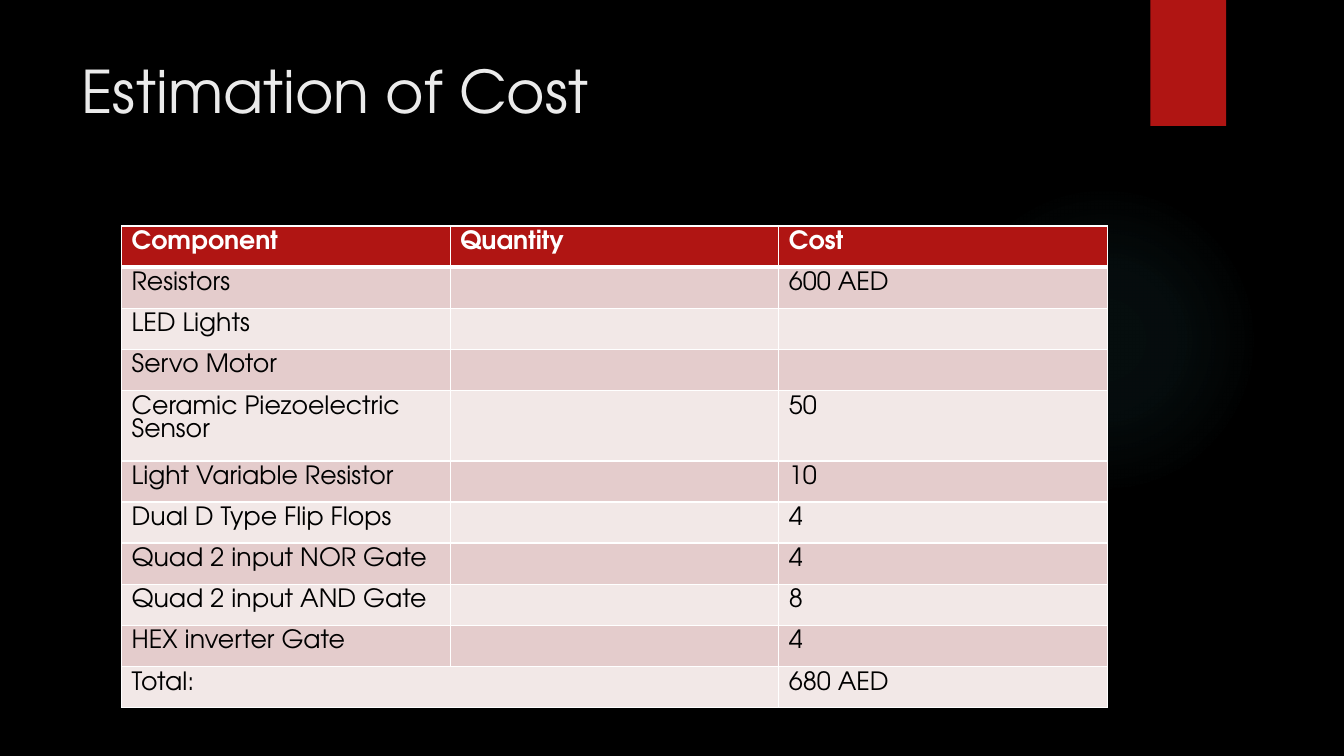
from dataclasses import dataclass

import pptx
import pptx.dml.color
import pptx.enum.shapes
import pptx.enum.text
import pptx.oxml
import pptx.oxml.ns
import pptx.util

COLUMN = pptx.util.Inches(13.333) / 40
ROW = pptx.util.Inches(7.5) / 30


@dataclass(frozen=True)
class Theme:
    font: str = "TeX Gyre Adventor"
    title_size: int = 42
    table_size: int = 18
    background: str = "000000"
    title: str = "EBEBEB"
    accent: str = "B01513"
    glow: str = "50B9C1"
    header_text: str = "FFFFFF"
    body_text: str = "000000"
    border: str = "FFFFFF"
    bands: tuple[str, str] = ("E4CCCC", "F2E8E7")
    thin: int = 1
    thick: int = 3


@dataclass(frozen=True)
class Frame:
    """A place on the page, in grid columns and rows."""
    left: float
    top: float
    width: float
    height: float

    def lengths(self) -> tuple[int, int, int, int]:
        return (round(self.left * COLUMN), round(self.top * ROW),
                round(self.width * COLUMN), round(self.height * ROW))


@dataclass(frozen=True)
class Item:
    component: str
    cost: str = ""
    quantity: str = ""


THEME = Theme()
GLOW = Frame(28.23, 7.32, 9.24, 12.32)
TAG = Frame(34.24, 0, 2.25, 5)
TITLE = Frame(2.13, 1.97, 30.87, 6.12)
TABLE_ROW = 1.63
HEADER = Item("Component", "Cost", "Quantity")
ITEMS = [
    Item("Resistors", "600 AED"),
    Item("LED Lights"),
    Item("Servo Motor"),
    Item("Ceramic Piezoelectric Sensor", "50"),
    Item("Light Variable Resistor", "10"),
    Item("Dual D Type Flip Flops", "4"),
    Item("Quad 2 input NOR Gate", "4"),
    Item("Quad 2 input AND Gate", "8"),
    Item("HEX inverter Gate", "4"),
    Item("Total:", "680 AED"),
]


def paint(fill, color: str) -> None:
    fill.solid()
    fill.fore_color.rgb = pptx.dml.color.RGBColor.from_string(color)


def write(frame, text: str, size: int, color: str, bold: bool = False) -> None:
    para = frame.paragraphs[0]
    para.text = text
    para.font.name = THEME.font
    para.font.size = pptx.util.Pt(size)
    para.font.bold = bold
    para.font.color.rgb = pptx.dml.color.RGBColor.from_string(color)


def add_plain_shape(page, kind, frame: Frame):
    shape = page.shapes.add_shape(kind, *frame.lengths())
    shape.shadow.inherit = False
    shape.line.fill.background()
    return shape


def add_glow(page) -> None:
    """Draw a circle that fades out from its centre."""
    shape = add_plain_shape(page, pptx.enum.shapes.MSO_SHAPE.OVAL, GLOW)
    shape.fill.background()
    stops = "".join(
        f'<a:gs pos="{place * 1000}"><a:srgbClr val="{THEME.glow}">'
        f'<a:alpha val="{opacity * 1000}"/></a:srgbClr></a:gs>'
        for place, opacity in ((0, 7), (36, 6), (69, 0), (100, 0)))
    gradient = pptx.oxml.parse_xml(
        f'<a:gradFill {pptx.oxml.ns.nsdecls("a")} rotWithShape="1">'
        f'<a:gsLst>{stops}</a:gsLst><a:path path="circle">'
        '<a:fillToRect l="50000" t="50000" r="50000" b="50000"/>'
        '</a:path></a:gradFill>')
    properties = shape.element.spPr
    empty_fill = properties.find(pptx.oxml.ns.qn("a:noFill"))
    properties.replace(empty_fill, gradient)


def add_title(page) -> None:
    box = page.shapes.add_textbox(*TITLE.lengths())
    box.text_frame.word_wrap = True
    box.text_frame.vertical_anchor = pptx.enum.text.MSO_ANCHOR.TOP
    write(box.text_frame, "Estimation of Cost", THEME.title_size, THEME.title)


def add_borders(cell, top: int, bottom: int) -> None:
    """Line all four sides of a cell; widths are in points."""
    properties = cell._tc.get_or_add_tcPr()
    sides = {"L": THEME.thin, "R": THEME.thin, "T": top, "B": bottom}
    for side, width in sides.items():
        properties.append(pptx.oxml.parse_xml(
            f'<a:ln{side} {pptx.oxml.ns.nsdecls("a")} w="{pptx.util.Pt(width)}">'
            f'<a:solidFill><a:srgbClr val="{THEME.border}"/></a:solidFill>'
            f'</a:ln{side}>'))


def add_cost_table(page) -> None:
    items = [HEADER, *ITEMS]
    frame = Frame(3.62, 8.97, 29.34, TABLE_ROW * len(items))
    table = page.shapes.add_table(len(items), 3, *frame.lengths()).table
    for row, item in enumerate(items):
        table.rows[row].height = round(TABLE_ROW * ROW)
        header = row == 0
        fill = THEME.accent if header else THEME.bands[(row - 1) % 2]
        color = THEME.header_text if header else THEME.body_text
        top = THEME.thick if row == 1 else THEME.thin
        bottom = THEME.thick if header else THEME.thin
        for column, text in enumerate((item.component, item.quantity, item.cost)):
            cell = table.cell(row, column)
            add_borders(cell, top, bottom)
            paint(cell.fill, fill)
            write(cell.text_frame, text, THEME.table_size, color, header)
    total = len(items) - 1
    table.cell(total, 0).merge(table.cell(total, 1))


def main() -> None:
    deck = pptx.Presentation()
    deck.slide_width = round(COLUMN * 40)
    deck.slide_height = round(ROW * 30)
    page = deck.slides.add_slide(deck.slide_layouts[6])
    paint(page.background.fill, THEME.background)
    add_glow(page)
    tag = add_plain_shape(page, pptx.enum.shapes.MSO_SHAPE.RECTANGLE, TAG)
    paint(tag.fill, THEME.accent)
    add_title(page)
    add_cost_table(page)
    deck.save("out.pptx")


if __name__ == "__main__":
    main()
